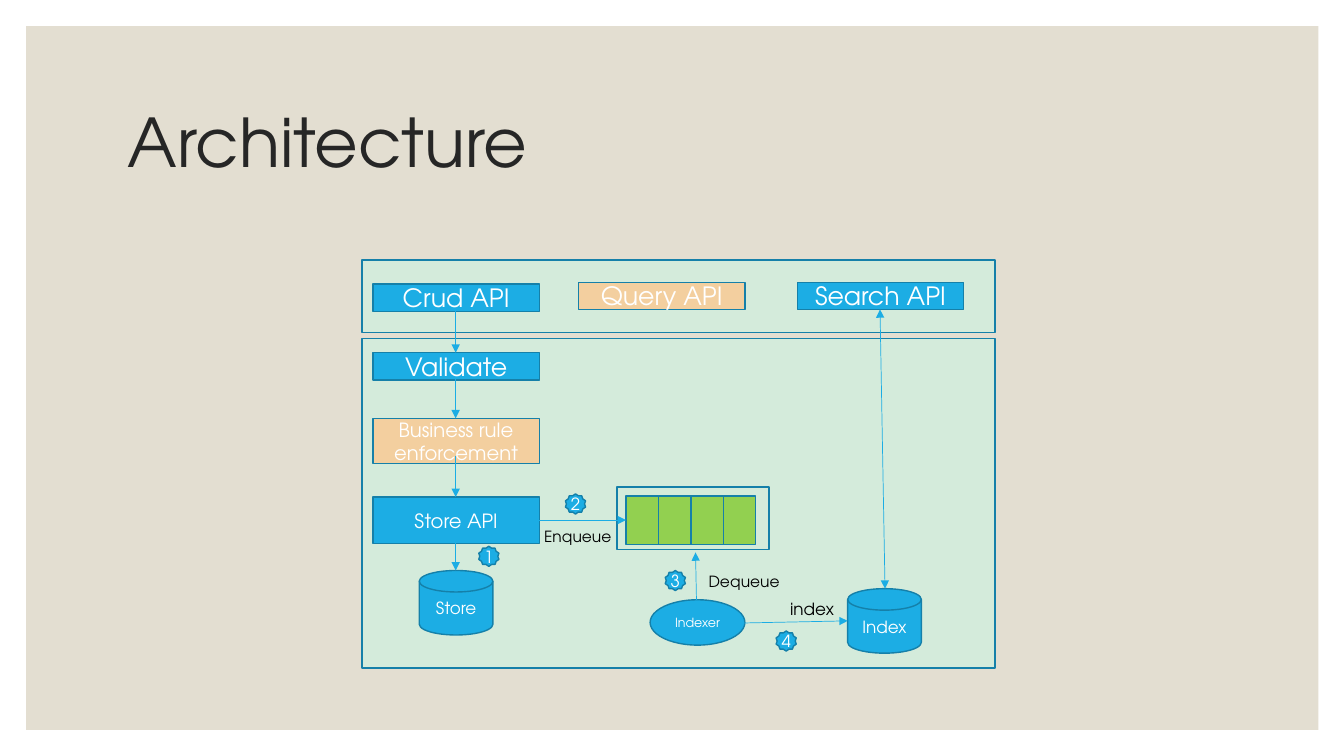
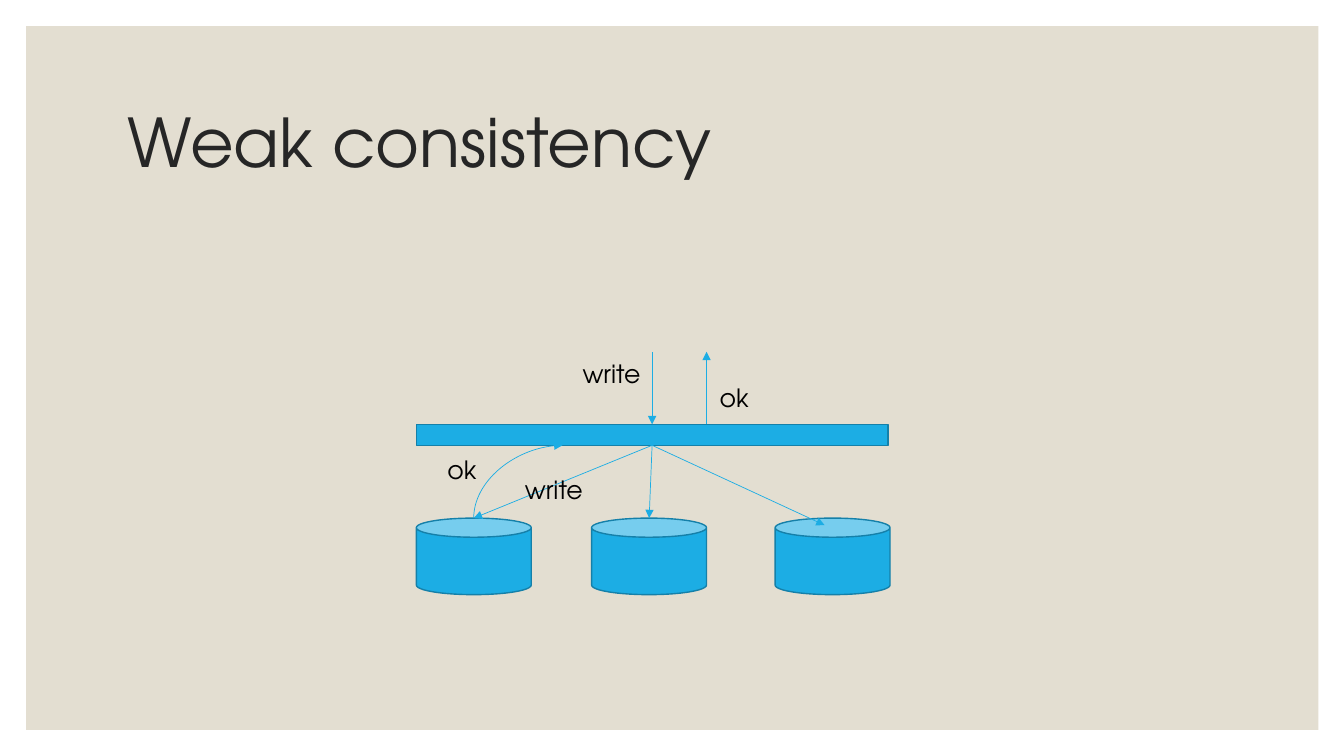
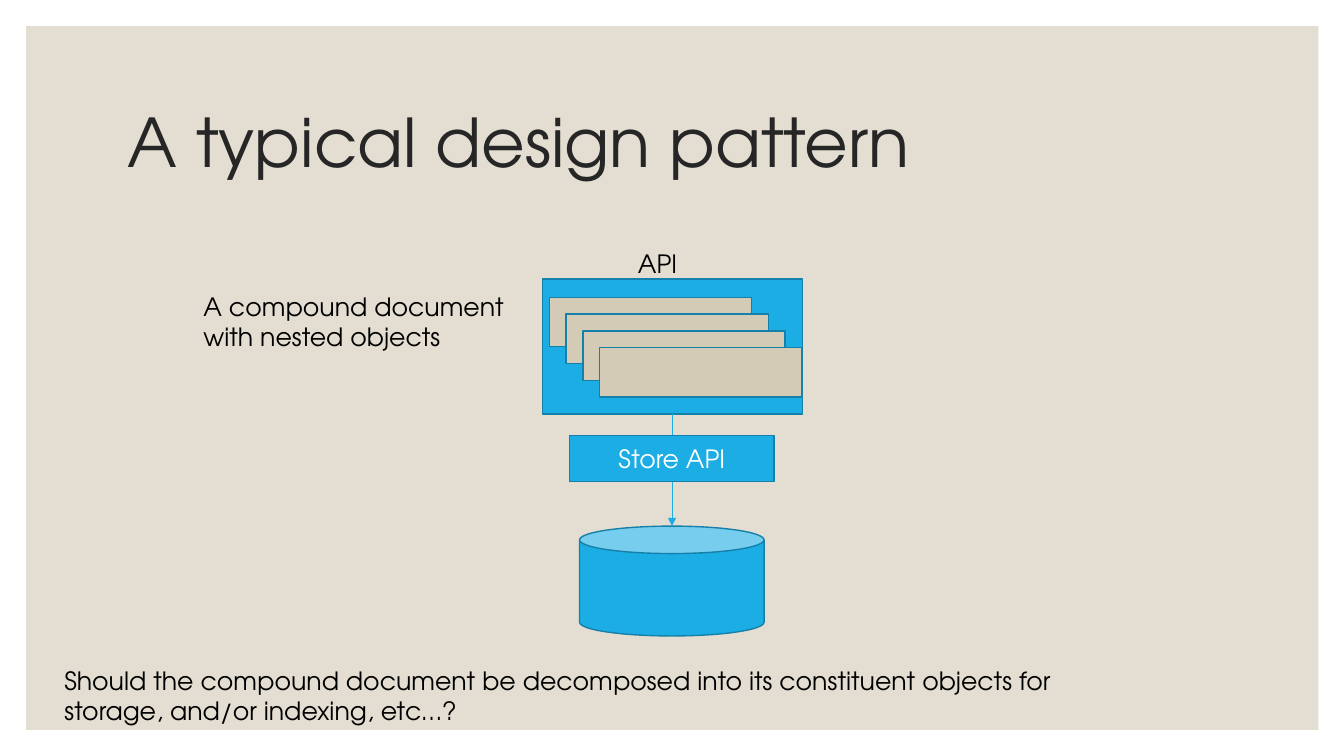
"""Build three slides about the architecture of a document store."""
from dataclasses import dataclass

from lxml import etree
from pptx import Presentation
from pptx.dml.color import RGBColor
from pptx.enum import shapes, text
from pptx.oxml import ns
from pptx.util import Pt

FONT = "TeX Gyre Adventor"
BLUE, EDGE, MINT, PEACH = "1CADE4", "1580A9", "D4EBDB", "F3CF9F"
GREEN, SAND, PAPER = "92D050", "D3CBB6", "E3DED1"
WHITE, BLACK, INK = "FFFFFF", "000000", "262626"
KIND = shapes.MSO_SHAPE
LINE = shapes.MSO_CONNECTOR


@dataclass
class Node:
    x: float
    y: float
    w: float
    h: float
    label: str = ""
    size: float = 18
    fill: str = BLUE
    kind: int = KIND.RECTANGLE
    edge: str | None = EDGE


@dataclass
class Label:
    x: float
    y: float
    w: float
    h: float
    label: str
    size: float = 18
    color: str = BLACK
    wrap: bool = False


@dataclass
class Arrow:
    x1: float
    y1: float
    x2: float
    y2: float
    ends: tuple = ("tailEnd",)
    curved: bool = False


def rgb(value: str) -> RGBColor:
    return RGBColor.from_string(value)


def write(tf, label: str, size: float, color: str, align=None, spacing=None) -> None:
    tf.text = label
    for p in tf.paragraphs:
        p.alignment = align
        p.line_spacing = spacing
        p.font.name = FONT
        p.font.size = Pt(size)
        p.font.color.rgb = rgb(color)


def add_node(s, n: Node) -> None:
    sp = s.shapes.add_shape(n.kind, Pt(n.x), Pt(n.y), Pt(n.w), Pt(n.h))
    sp.shadow.inherit = False
    sp.fill.solid()
    sp.fill.fore_color.rgb = rgb(n.fill)
    if n.edge:
        sp.line.color.rgb = rgb(n.edge)
        sp.line.width = Pt(1)
    else:
        sp.line.fill.background()
    if n.label:
        tf = sp.text_frame
        tf.margin_left = tf.margin_right = tf.margin_top = tf.margin_bottom = 0
        tf.word_wrap = n.kind != KIND.STAR_10_POINT
        tf.vertical_anchor = text.MSO_ANCHOR.MIDDLE
        write(tf, n.label, n.size, WHITE, text.PP_ALIGN.CENTER)


def add_label(s, t: Label, anchor=text.MSO_ANCHOR.TOP, spacing=None) -> None:
    tf = s.shapes.add_textbox(Pt(t.x), Pt(t.y), Pt(t.w), Pt(t.h)).text_frame
    tf.word_wrap = t.wrap
    tf.vertical_anchor = anchor
    write(tf, t.label, t.size, t.color, spacing=spacing)


def add_arrow(s, a: Arrow) -> None:
    kind = LINE.CURVE if a.curved else LINE.STRAIGHT
    cxn = s.shapes.add_connector(kind, Pt(a.x1), Pt(a.y1), Pt(a.x2), Pt(a.y2))
    cxn.line.color.rgb = rgb(BLUE)
    cxn.line.width = Pt(0.5)
    props = cxn._element.spPr
    if a.curved:
        props.find(ns.qn("a:prstGeom")).set("prst", "curvedConnector2")
    for end in a.ends:
        etree.SubElement(props.find(ns.qn("a:ln")), ns.qn("a:" + end), type="triangle")
    etree.SubElement(props, ns.qn("a:effectLst"))


def draw(s, *items) -> None:
    adders = {Node: add_node, Label: add_label, Arrow: add_arrow}
    for item in items:
        adders[type(item)](s, item)


def new_slide(prs, title: str):
    s = prs.slides.add_slide(prs.slide_layouts[6])
    draw(s, Node(18.7, 18.7, 923, 502.6, fill=PAPER, edge=None))
    heading = Label(84.2, 50.4, 792, 108, title, 48, INK, True)
    add_label(s, heading, text.MSO_ANCHOR.MIDDLE, 0.9)
    return s


def architecture(prs) -> None:
    s = new_slide(prs, "Architecture")
    left, box_w, box_h, mid = 266.4, 118.8, 19.4, 325.5
    disk = KIND.FLOWCHART_MAGNETIC_DISK
    draw(
        s,
        Node(258.5, 241.9, 452.2, 235.4, fill=MINT),
        Node(440.6, 347.8, 108.7, 44.6, fill=MINT),
        Node(258.5, 185.8, 452.2, 51.8, fill=MINT, kind=KIND.FLOWCHART_PROCESS),
        Node(left, 203, box_w, box_h, "Crud API"),
        Node(413.3, 201.6, box_w, box_h, "Query API", fill=PEACH),
        Node(569.5, 201.6, box_w, box_h, "Search API"),
        Node(left, 252, box_w, box_h, "Validate"),
        Node(left, 298.8, box_w, 32.4, "Business rule enforcement", 14, PEACH),
        Node(left, 355, box_w, 33.1, "Store API", 14),
        Node(299.5, 407.5, 52.6, 46.1, "Store", 12, kind=disk),
        Node(605.5, 420.5, 52.6, 46.1, "Index", 12, kind=disk),
        Node(464.4, 428.4, 67.7, 32.4, "Indexer", 9, kind=KIND.OVAL),
    )
    cell_w = 23.2
    for i in range(4):
        draw(s, Node(447.1 + i * cell_w, 354.2, cell_w, 34.6, fill=GREEN,
                     kind=KIND.FLOWCHART_PROCESS))
    for top, bottom in ((222.5, 252), (269.3, 298.8), (325.4, 355), (388.1, 407.5)):
        draw(s, Arrow(mid, top, mid, bottom))
    draw(
        s,
        Arrow(497.5, 428.4, 496.8, 394.6),
        Arrow(531.4, 445, 605.5, 443.5),
        Arrow(384.5, 371.5, 447.1, 371.5),
        Arrow(628.6, 221, 632.2, 420.5, ("headEnd", "tailEnd")),
        Label(499, 405.4, 65.5, 20.9, "Dequeue", 11),
        Label(557.3, 424.1, 71.3, 21.6, "index", 12, wrap=True),
        Label(381.6, 373, 62.6, 20.9, "Enqueue", 11),
    )
    steps = ((342, 390.2), (403.9, 352.8), (475.2, 407.5), (554.4, 450.7))
    for number, (x, y) in enumerate(steps, 1):
        draw(s, Node(x, y, 14.4, 14.4, str(number), 12, kind=KIND.STAR_10_POINT))


def weak_consistency(prs) -> None:
    s = new_slide(prs, "Weak consistency")
    hub, bar_top, bar_bottom, can_top, outside = 465.8, 303.1, 318.1, 370.1, 251.3
    for x in (297.4, 422.6, 553.7):
        draw(s, Node(x, can_top, 82.1, 54.7, kind=KIND.CAN))
    draw(s, Node(297.4, bar_top, 337, bar_bottom - bar_top))
    for x, y in ((338.4, can_top), (463.7, can_top), (589, 375.1)):
        draw(s, Arrow(hub, bar_bottom, x, y))
    draw(
        s,
        Arrow(hub, outside, hub, bar_top),
        Arrow(504.7, bar_top, 504.7, outside),
        Arrow(401.8, bar_bottom, 338.4, can_top, ("headEnd",), True),
        Label(409, 252.7, 56.9, 28.8, "write"),
        Label(367.9, 335.5, 56.9, 28.8, "write"),
        Label(312.5, 321.1, 35.3, 28.8, "ok"),
        Label(506.9, 269.3, 35.3, 28.8, "ok"),
    )


def design_pattern(prs) -> None:
    s = new_slide(prs, "A typical design pattern")
    draw(s, Node(387.4, 199.4, 185.8, 96.5))
    for i in range(4):
        draw(s, Node(392.4 + 12 * i, 212.4 + 12 * i, 144.4, 35.3, fill=SAND))
    draw(
        s,
        Label(138.2, 204.5, 236.2, 51.1, "A compound document\nwith nested objects"),
        Node(414, 375.8, 131.8, 78.5, kind=KIND.CAN),
        Arrow(480, 295.9, 480, 375.8),
        Label(448.6, 173.5, 43.2, 28.8, "API"),
        Node(406.8, 311, 146.2, 33.1, "Store API", kind=KIND.FLOWCHART_PROCESS),
        Label(38.9, 471.6, 732.2, 51.1,
              "Should the compound document be decomposed into its constituent objects for\n"
              "storage, and/or indexing, etc…?"),
    )


def main() -> None:
    prs = Presentation()
    prs.slide_width, prs.slide_height = Pt(960), Pt(540)
    architecture(prs)
    weak_consistency(prs)
    design_pattern(prs)
    prs.save("out.pptx")


if __name__ == "__main__":
    main()
